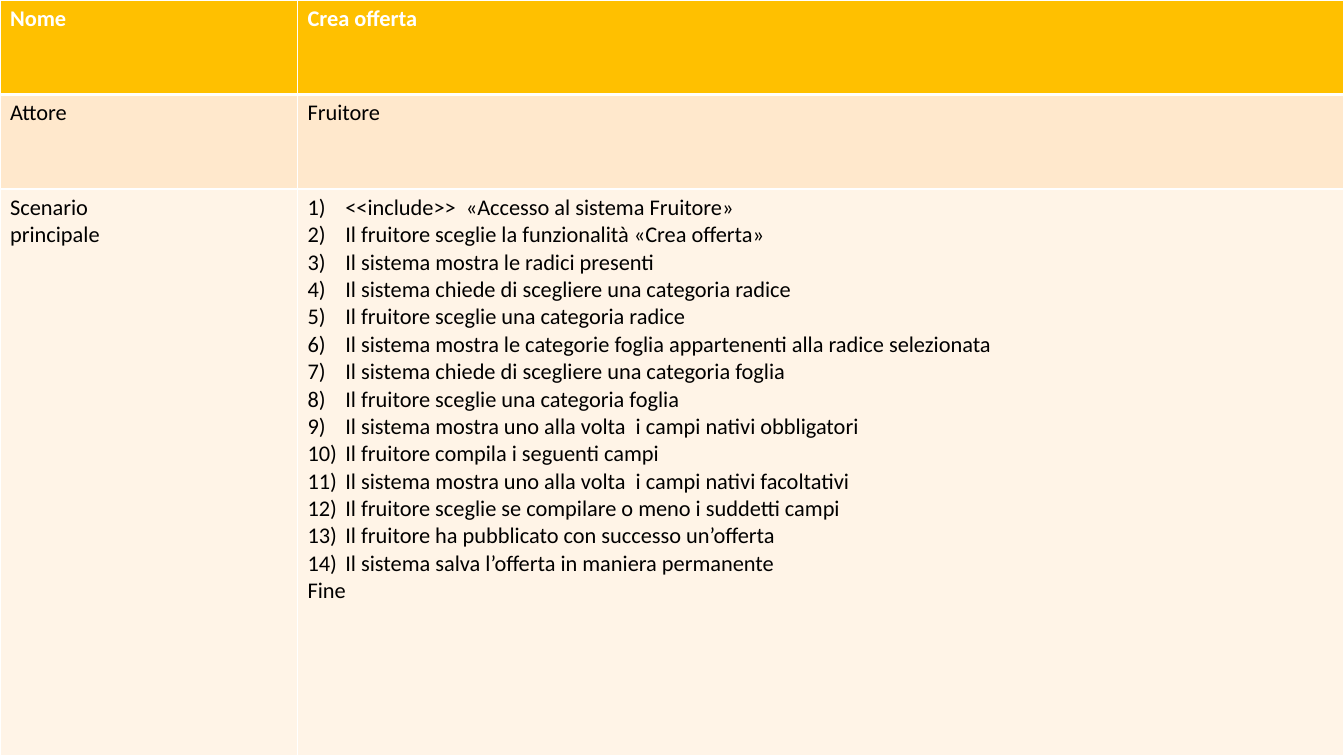
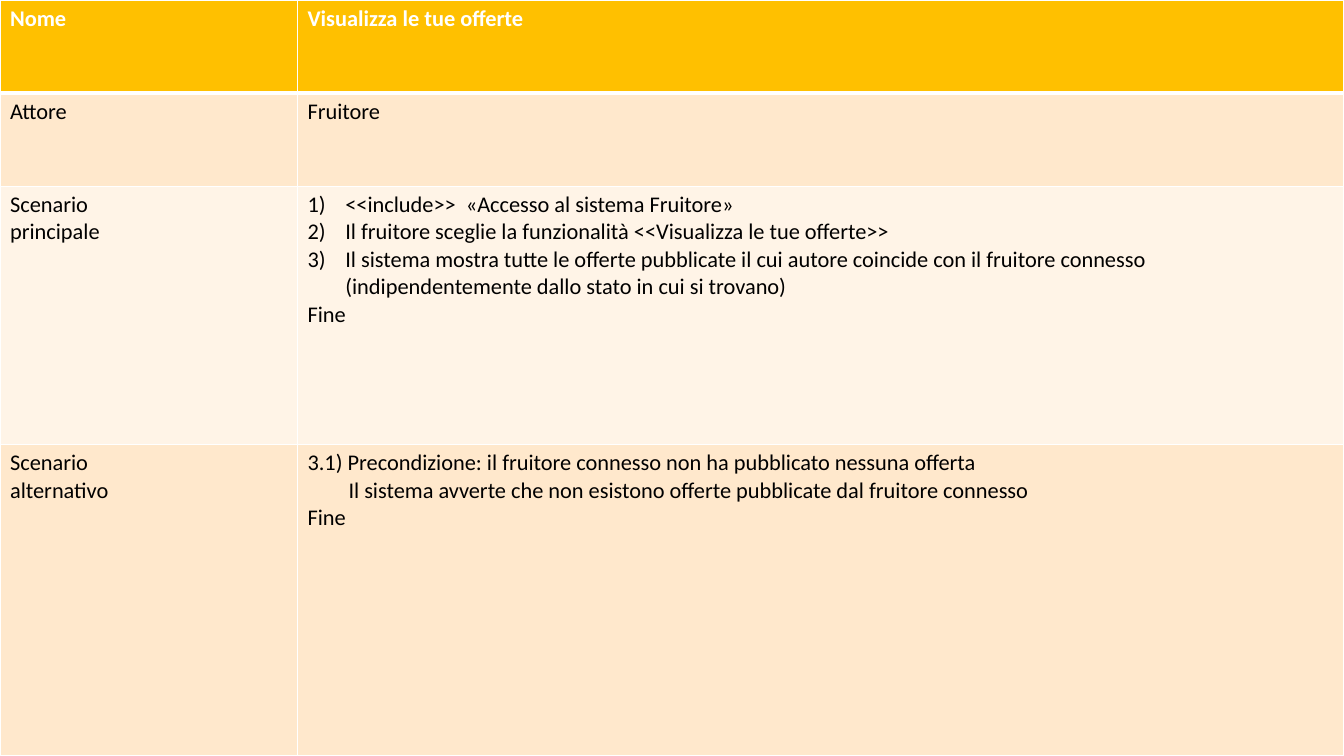
import pptx
import pptx.dml.color
import pptx.oxml.ns
import pptx.util
from lxml import etree

Pt = pptx.util.Pt
PAGE_WIDTH, PAGE_HEIGHT = 960, 540
LABEL_WIDTH = 212.5
FONT, TEXT_SIZE = "Calibri", 16
NUMBER_INDENT, CONTINUATION_INDENT = 27, 29.25
WHITE, BLACK, HEADER = "FFFFFF", "000000", "FFC000"
BANDS = ("FFE8CC", "FFF4E7")
THIN, THICK = 1, 3


def color(value):
    """Turn a hex string into a colour."""
    return pptx.dml.color.RGBColor.from_string(value)


def add_child(parent, tag, **attributes):
    """Append a drawing element to a parent element."""
    child = etree.SubElement(parent, pptx.oxml.ns.qn(tag))
    for name, value in attributes.items():
        child.set(name, str(value))
    return child


def write(para, text, ink=BLACK, bold=False, indent=0, numbered=False):
    """Write one formatted paragraph."""
    span = para.add_run()
    span.text = text
    span.font.name = FONT
    span.font.size = Pt(TEXT_SIZE)
    span.font.bold = bold
    span.font.color.rgb = color(ink)
    if indent:
        properties = para._p.get_or_add_pPr()
        properties.set("marL", str(Pt(indent)))
        if numbered:
            properties.set("indent", str(-Pt(indent)))
            add_child(properties, "a:buFont", typeface="+mj-lt")
            add_child(properties, "a:buAutoNum", type="arabicParenR")


def set_borders(cell, top, bottom):
    """Draw white borders around a cell."""
    properties = cell._tc.get_or_add_tcPr()
    widths = (("a:lnL", THIN), ("a:lnR", THIN), ("a:lnT", top), ("a:lnB", bottom))
    for position, (tag, width) in enumerate(widths):
        line = add_child(properties, tag, w=Pt(width))
        add_child(add_child(line, "a:solidFill"), "a:srgbClr", val=WHITE)
        properties.insert(position, line)


def fill_cell(cell, lines, row):
    """Fill a cell with paragraphs, each a text or a (text, format) pair."""
    header = row == 0
    cell.fill.solid()
    cell.fill.fore_color.rgb = color(HEADER if header else BANDS[(row - 1) % 2])
    set_borders(cell, THICK if row == 1 else THIN, THICK if header else THIN)
    frame = cell.text_frame
    for index, line in enumerate(lines):
        text, layout = (line, {}) if isinstance(line, str) else line
        para = frame.add_paragraph() if index else frame.paragraphs[0]
        write(para, text, ink=WHITE if header else BLACK, bold=header, **layout)


def numbered(*steps):
    """Lay out scenario steps as a numbered list with its closing word."""
    layout = {"indent": NUMBER_INDENT, "numbered": True}
    return [(step, layout) for step in steps] + ["Fine"]


def add_use_case(deck, name, heights, scenarios, left=0, top=0,
                 width=PAGE_WIDTH, height=PAGE_HEIGHT):
    """Add a page with the table of one use case."""
    page = deck.slides.add_slide(deck.slide_layouts[6])
    rows = [("Nome", [name]), ("Attore", ["Fruitore"])]
    rows += [(f"Scenario\n{kind}", lines) for kind, lines in scenarios]
    table = page.shapes.add_table(
        len(rows), 2, Pt(left), Pt(top), Pt(width), Pt(height)).table
    table.first_row = table.horz_banding = False
    table.columns[0].width = Pt(LABEL_WIDTH)
    table.columns[1].width = Pt(width - LABEL_WIDTH)
    for row, (label, lines) in enumerate(rows):
        table.rows[row].height = Pt(heights[row])
        fill_cell(table.cell(row, 0), label.split("\n"), row)
        fill_cell(table.cell(row, 1), lines, row)


def main():
    """Build and save the deck."""
    deck = pptx.Presentation()
    deck.slide_width, deck.slide_height = Pt(PAGE_WIDTH), Pt(PAGE_HEIGHT)
    access = "<<include>>  «Accesso al sistema Fruitore»"
    add_use_case(deck, "Crea offerta", (67.5, 67.5, 405), [
        ("principale", numbered(
            access,
            "Il fruitore sceglie la funzionalità «Crea offerta»",
            "Il sistema mostra le radici presenti",
            "Il sistema chiede di scegliere una categoria radice",
            "Il fruitore sceglie una categoria radice",
            "Il sistema mostra le categorie foglia appartenenti alla radice selezionata",
            "Il sistema chiede di scegliere una categoria foglia",
            "Il fruitore sceglie una categoria foglia",
            "Il sistema mostra uno alla volta  i campi nativi obbligatori",
            "Il fruitore compila i seguenti campi",
            "Il sistema mostra uno alla volta  i campi nativi facoltativi",
            "Il fruitore sceglie se compilare o meno i suddetti campi",
            "Il fruitore ha pubblicato con successo un’offerta",
            "Il sistema salva l’offerta in maniera permanente")),
    ])
    add_use_case(deck, "Visualizza le tue offerte", (66.5, 66.5, 184.5, 222.5), [
        ("principale", numbered(
            access,
            "Il fruitore sceglie la funzionalità <<Visualizza le tue offerte>>",
            "Il sistema mostra tutte le offerte pubblicate il cui autore coincide "
            "con il fruitore connesso (indipendentemente dallo stato in cui si trovano)")),
        ("alternativo", [
            "3.1) Precondizione: il fruitore connesso non ha pubblicato nessuna offerta",
            ("Il sistema avverte che non esistono offerte pubblicate dal fruitore connesso",
             {"indent": CONTINUATION_INDENT}),
            "Fine"]),
    ])
    deck.save("out.pptx")


if __name__ == "__main__":
    main()
